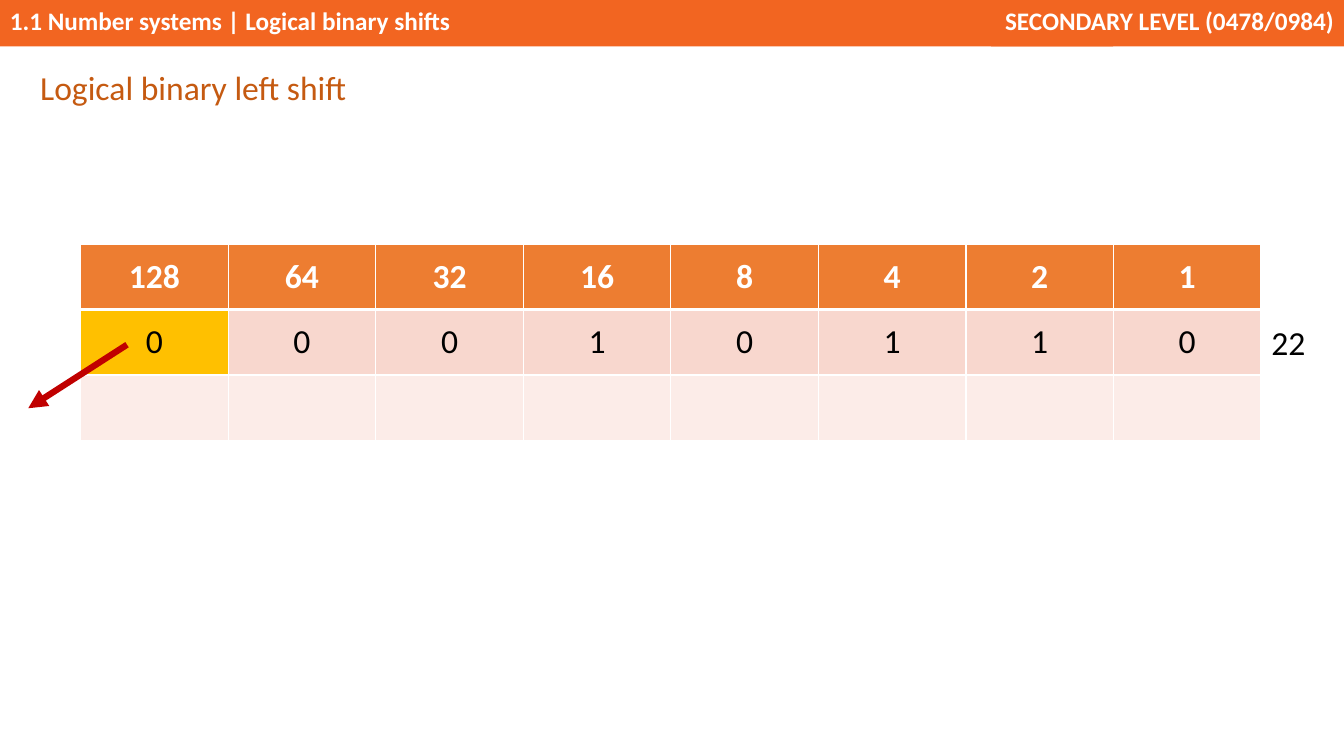
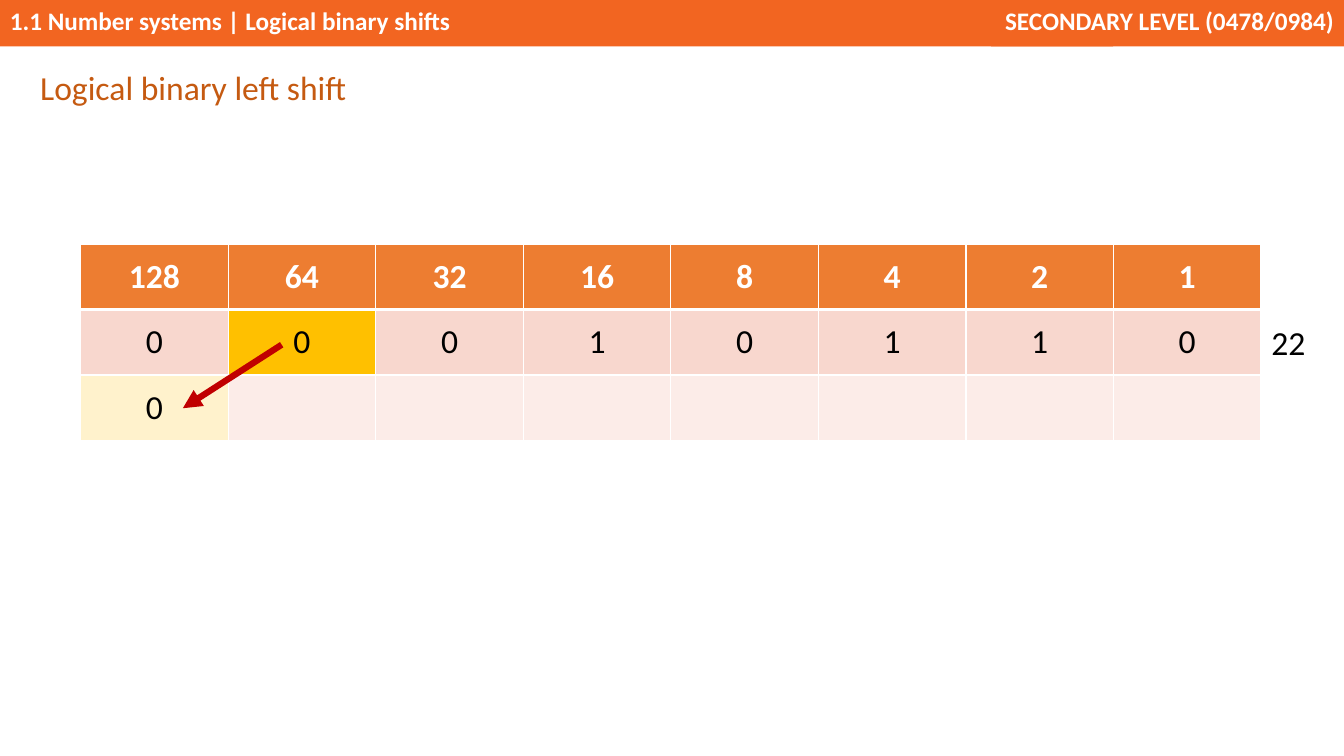
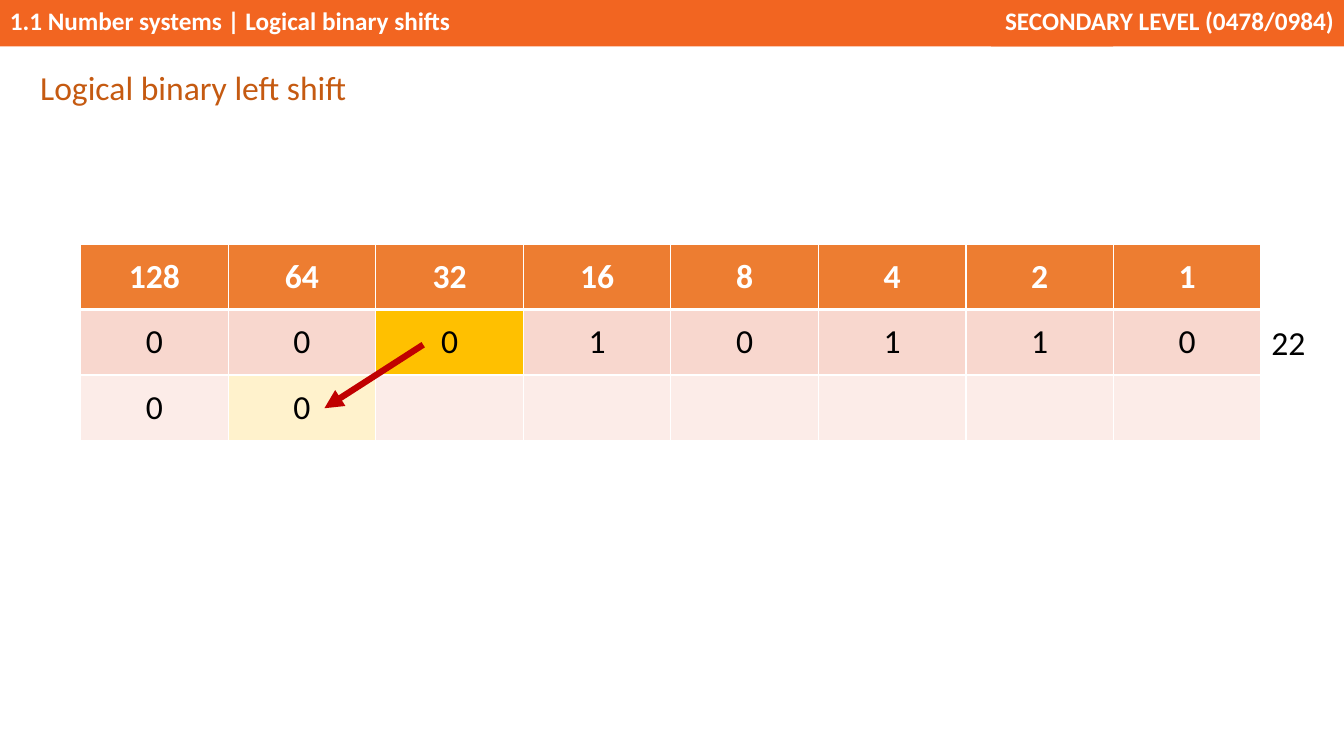
"""Three steps of a logical binary left shift."""
from lxml import etree
from pptx import Presentation
from pptx.dml.color import RGBColor
from pptx.enum import shapes, text
from pptx.oxml.ns import qn
from pptx.util import Inches, Pt

UNIT = "1.1 Number systems | Logical binary shifts"
COURSE = "SECONDARY LEVEL (0478/0984)"
TITLE = "Logical binary left shift"
PLACES = [2 ** n for n in range(7, -1, -1)]
BITS = [0, 0, 0, 1, 0, 1, 1, 0]
VALUE = sum(place * bit for place, bit in zip(PLACES, BITS))
STEPS = [
    {"column": 0, "arrow_inset": 0.46},
    {"column": 1, "arrow_inset": 0.53},
    {"column": 2, "arrow_inset": 0.47},
]

FONT = "Calibri"
WHITE = RGBColor(0xFF, 0xFF, 0xFF)
BLACK = RGBColor(0, 0, 0)
BAND = RGBColor(0xF2, 0x65, 0x21)
HEADING = RGBColor(0xC5, 0x5A, 0x11)
HEADER = RGBColor(0xED, 0x7D, 0x31)
BIT_ROW = RGBColor(0xF8, 0xD7, 0xCE)
RESULT_ROW = RGBColor(0xFC, 0xEC, 0xE8)
MOVING = RGBColor(0xFF, 0xC0, 0x00)
LANDED = RGBColor(0xFF, 0xF2, 0xCC)
ARROW = RGBColor(0xC0, 0x00, 0x00)

WIDTH, HEIGHT = 13.33, 7.5
BAND_HEIGHT = 0.46
LEFT, TOP, TABLE_WIDTH, ROW = 0.8, 2.42, 11.71, 0.65
COLUMN = TABLE_WIDTH / len(PLACES)
ARROW_TOP, ARROW_RUN, ARROW_DROP = 3.42, 0.98, 0.63
ALIGN = text.PP_ALIGN


def write(tf, words, size, color, align=ALIGN.LEFT, bold=False):
    p = tf.paragraphs[0]
    p.text = str(words)
    p.alignment = align
    p.font.name, p.font.size, p.font.bold = FONT, Pt(size), bold
    p.font.color.rgb = color
    return p


def add_band(slide, left, width, words, align):
    s = slide.shapes.add_shape(shapes.MSO_SHAPE.RECTANGLE, Inches(left), 0,
                               Inches(width), Inches(BAND_HEIGHT))
    s.shadow.inherit = False
    s.fill.solid()
    s.fill.fore_color.rgb = BAND
    s.line.fill.background()
    s.text_frame.vertical_anchor = text.MSO_ANCHOR.TOP
    write(s.text_frame, words, 18, WHITE, align, bold=True)


def add_text(slide, left, top, width, height, wrap):
    s = slide.shapes.add_textbox(*map(Inches, (left, top, width, height)))
    s.text_frame.word_wrap = wrap
    return s.text_frame


def set_borders(cell, widths):
    tc_pr = cell._tc.get_or_add_tcPr()
    for side, width in zip("LRTB", widths):
        ln = etree.SubElement(tc_pr, qn(f"a:ln{side}"), w=str(Pt(width)))
        fill = etree.SubElement(ln, qn("a:solidFill"))
        etree.SubElement(fill, qn("a:srgbClr"), val=str(WHITE))


def add_shift_table(slide, column):
    landed = column - 1
    result = [BITS[i + 1] if i <= landed else "" for i in range(len(BITS))]
    rows = [(PLACES, HEADER, {}, (1, 1, 1, 3)),
            (BITS, BIT_ROW, {column: MOVING}, (1, 1, 3, 1)),
            (result, RESULT_ROW, {landed: LANDED}, (1, 1, 1, 1))]
    table = slide.shapes.add_table(
        len(rows), len(PLACES), Inches(LEFT), Inches(TOP),
        Inches(TABLE_WIDTH), Inches(ROW * len(rows))).table
    for r, (values, color, marked, borders) in enumerate(rows):
        for c, value in enumerate(values):
            cell = table.cell(r, c)
            set_borders(cell, borders)
            cell.fill.solid()
            cell.fill.fore_color.rgb = marked.get(c, color)
            cell.vertical_anchor = text.MSO_ANCHOR.MIDDLE
            if value != "":
                write(cell.text_frame, value, 24, BLACK if r else WHITE,
                      ALIGN.CENTER, bold=r == 0)


def add_arrow(slide, left):
    s = slide.shapes.add_connector(
        shapes.MSO_CONNECTOR.STRAIGHT, Inches(left), Inches(ARROW_TOP),
        Inches(left - ARROW_RUN), Inches(ARROW_TOP + ARROW_DROP))
    s.line.color.rgb = ARROW
    s.line.width = Pt(4.5)
    sp_pr = s.element.spPr
    etree.SubElement(sp_pr.find(qn("a:ln")), qn("a:tailEnd"), type="triangle")
    etree.SubElement(sp_pr, qn("a:effectLst"))


def add_step(prs, column, arrow_inset):
    slide = prs.slides.add_slide(prs.slide_layouts[6])
    add_band(slide, 0, 11.04, UNIT, ALIGN.LEFT)
    add_band(slide, WIDTH - 3.5, 3.5, COURSE, ALIGN.RIGHT)
    add_shift_table(slide, column)
    add_arrow(slide, LEFT + column * COLUMN + arrow_inset)
    tf = add_text(slide, LEFT + TABLE_WIDTH, 3.14, 0.54, 0.5, wrap=False)
    write(tf, VALUE, 24, BLACK, ALIGN.CENTER)
    tf = add_text(slide, 0.3, 0.59, 7.42, 0.51, wrap=True)
    p = write(tf, TITLE, 24, HEADING)
    p.line_spacing, p.space_after = 1.07, Pt(8)


def main():
    prs = Presentation()
    prs.slide_width, prs.slide_height = Inches(WIDTH), Inches(HEIGHT)
    for step in STEPS:
        add_step(prs, **step)
    prs.save("out.pptx")


if __name__ == "__main__":
    main()
